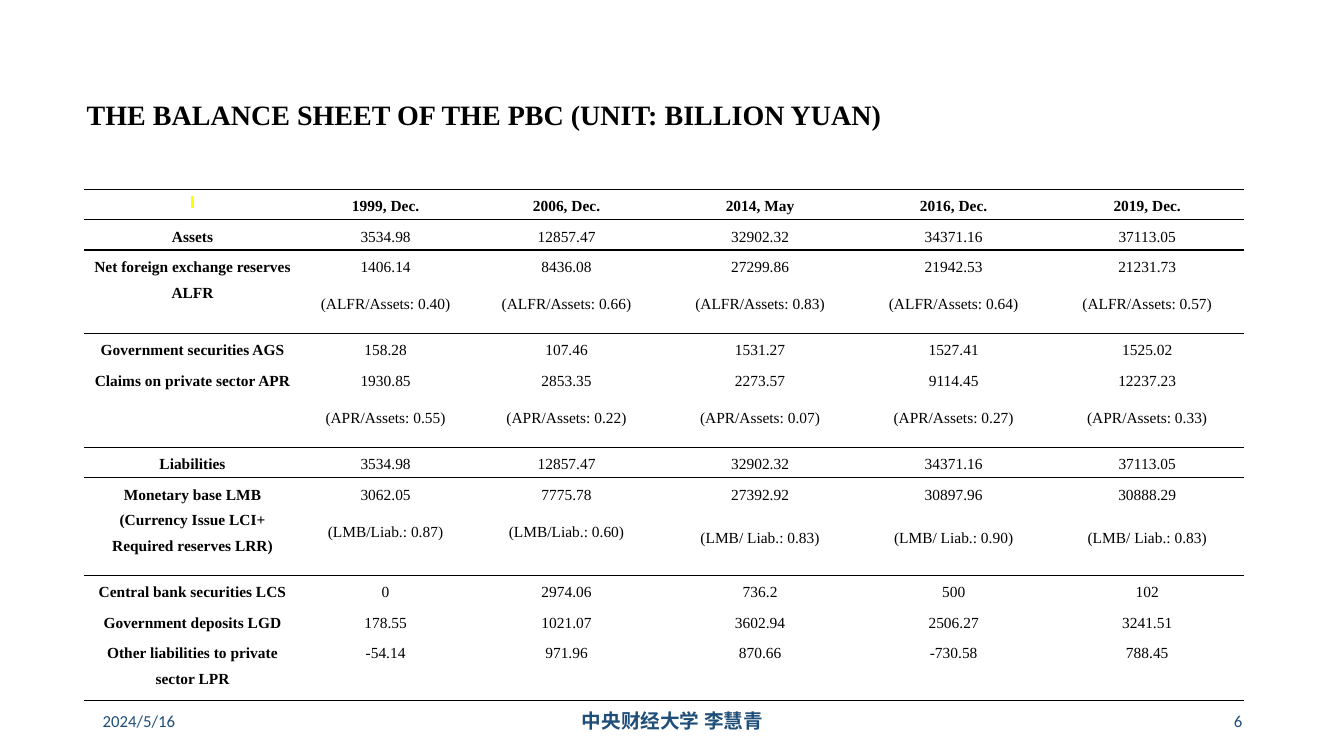
"""Build a slide with the balance sheet of the PBC as a ruled table."""
from dataclasses import dataclass

from lxml import etree
from pptx import Presentation
from pptx import util as u
from pptx.dml.color import RGBColor
from pptx.enum import text
from pptx.oxml import ns


@dataclass(frozen=True)
class Theme:
    serif: str = "Times New Roman"
    sans: str = "Calibri"
    ink: str = "000000"
    navy: str = "1F4E79"
    marker: str = "FFFF00"
    title_size: float = 20
    table_size: float = 11
    marker_size: float = 8
    footer_size: float = 12
    school_size: float = 14


@dataclass(frozen=True)
class SheetRow:
    label: str
    height: float
    values: tuple[str, ...]
    shares: tuple[str, ...] = ()


@dataclass(frozen=True)
class Footer:
    words: str
    left: float
    width: float
    align: text.PP_ALIGN
    size: float
    bold: bool = False


THEME = Theme()
TOTALS = ("3534.98", "12857.47", "32902.32", "34371.16", "37113.05")
COLUMN_WIDTHS = (2.16, 1.67, 1.92, 1.92, 1.92, 1.92)
RULES = {0: 1.5, 1: 1, 2: 1, 5: 1, 6: 1, 10: 1.5}
NO_GRID_STYLE = "{2D5ABB26-0587-4C30-8999-92F81FD0307C}"


def ratios(name: str, *shares: str) -> tuple[str, ...]:
    return tuple(f"({name}: {share})" for share in shares)


ROWS = (
    SheetRow("", 0.3, ("1999, Dec.", "2006, Dec.", "2014, May", "2016, Dec.", "2019, Dec.")),
    SheetRow("Assets", 0.3, TOTALS),
    SheetRow("Net foreign exchange reserves ALFR", 0.83,
             ("1406.14", "8436.08", "27299.86", "21942.53", "21231.73"),
             ratios("ALFR/Assets", "0.40", "0.66", "0.83", "0.64", "0.57")),
    SheetRow("Government securities AGS", 0.3,
             ("158.28", "107.46", "1531.27", "1527.41", "1525.02")),
    SheetRow("Claims on private sector APR", 0.83,
             ("1930.85", "2853.35", "2273.57", "9114.45", "12237.23"),
             ratios("APR/Assets", "0.55", "0.22", "0.07", "0.27", "0.33")),
    SheetRow("Liabilities", 0.3, TOTALS),
    SheetRow("Monetary base LMB (Currency Issue LCI+ Required reserves LRR)", 0.97,
             ("3062.05", "7775.78", "27392.92", "30897.96", "30888.29"),
             ratios("LMB/Liab.", "0.87", "0.60") + ratios("LMB/ Liab.", "0.83", "0.90", "0.83")),
    SheetRow("Central bank securities LCS", 0.3, ("0", "2974.06", "736.2", "500", "102")),
    SheetRow("Government deposits LGD", 0.3,
             ("178.55", "1021.07", "3602.94", "2506.27", "3241.51")),
    SheetRow("Other liabilities to private sector LPR", 0.64,
             ("-54.14", "971.96", "870.66", "-730.58", "788.45")),
)

FOOTERS = (
    Footer("2024/5/16", 0.92, 3, text.PP_ALIGN.LEFT, THEME.footer_size),
    Footer("中央财经大学 李慧青", 4.42, 4.5, text.PP_ALIGN.CENTER, THEME.school_size, True),
    Footer("6", 9.42, 3, text.PP_ALIGN.RIGHT, THEME.footer_size),
)


def style(para, face: str, size: float, color: str, bold: bool, align: text.PP_ALIGN) -> None:
    para.alignment = align
    para.font.name = face
    para.font.size = u.Pt(size)
    para.font.bold = bold
    para.font.color.rgb = RGBColor.from_string(color)


def add_element(parent, tag: str, **attributes: str):
    return etree.SubElement(parent, ns.qn(tag), attributes)


def rule_cell(cell, row_index: int) -> None:
    properties = cell._tc.get_or_add_tcPr()
    for tag, edge in (("a:lnT", row_index), ("a:lnB", row_index + 1)):
        if edge in RULES:
            line = add_element(properties, tag, w=str(u.Pt(RULES[edge])))
            fill = add_element(line, "a:solidFill")
            add_element(fill, "a:srgbClr", val=THEME.ink)
    cell.fill.background()


def fill_cell(cell, lines: list[str], bold: bool) -> None:
    cell.margin_left = cell.margin_right = u.Inches(0.07)
    cell.margin_top = cell.margin_bottom = 0
    frame = cell.text_frame
    for index, line in enumerate(lines):
        para = frame.add_paragraph() if index else frame.paragraphs[0]
        para.line_spacing = 1.5
        para.space_after = u.Pt(8)
        if "/ " in line:
            para.space_before = u.Pt(4.3)
        size = THEME.table_size if line else THEME.marker_size
        style(para, THEME.serif, size, THEME.ink, bold, text.PP_ALIGN.CENTER)
        span = para.add_run()
        span.text = line or " "
        if not line:
            highlight = add_element(span._r.get_or_add_rPr(), "a:highlight")
            add_element(highlight, "a:srgbClr", val=THEME.marker)


def add_balance_sheet(page) -> None:
    frame = page.shapes.add_table(len(ROWS), len(COLUMN_WIDTHS), u.Inches(0.83), u.Inches(1.88),
                                  u.Inches(11.5), u.Inches(5.08))
    table = frame.table
    table.first_row = table.horz_banding = False
    table._tbl.tblPr.find(ns.qn("a:tableStyleId")).text = NO_GRID_STYLE
    for column, width in zip(table.columns, COLUMN_WIDTHS):
        column.width = u.Inches(width)
    for row_index, entry in enumerate(ROWS):
        table.rows[row_index].height = u.Inches(entry.height)
        for column_index in range(len(COLUMN_WIDTHS)):
            cell = table.cell(row_index, column_index)
            if column_index:
                lines = [entry.values[column_index - 1], *entry.shares[column_index - 1:column_index]]
            else:
                lines = [entry.label]
            fill_cell(cell, lines, bold=row_index == 0 or column_index == 0)
            rule_cell(cell, row_index)


def add_title(page) -> None:
    title = page.shapes.title
    title.left, title.top = u.Inches(0.76), u.Inches(0.43)
    title.width, title.height = u.Inches(11.5), u.Inches(1.45)
    frame = title.text_frame
    frame.text = "THE BALANCE SHEET OF THE PBC (UNIT: BILLION YUAN)"
    frame.auto_size = text.MSO_AUTO_SIZE.NONE
    frame.vertical_anchor = text.MSO_ANCHOR.MIDDLE
    para = frame.paragraphs[0]
    para.line_spacing = 0.9
    style(para, THEME.serif, THEME.title_size, THEME.ink, True, text.PP_ALIGN.LEFT)


def add_footer(page, footer: Footer) -> None:
    box = page.shapes.add_textbox(u.Inches(footer.left), u.Inches(6.95),
                                  u.Inches(footer.width), u.Inches(0.4))
    frame = box.text_frame
    frame.word_wrap = True
    frame.vertical_anchor = text.MSO_ANCHOR.MIDDLE
    frame.text = footer.words
    style(frame.paragraphs[0], THEME.sans, footer.size, THEME.navy, footer.bold, footer.align)


def main() -> None:
    deck = Presentation()
    deck.slide_width, deck.slide_height = u.Inches(13.33), u.Inches(7.5)
    page = deck.slides.add_slide(deck.slide_layouts[5])
    add_title(page)
    for footer in FOOTERS:
        add_footer(page, footer)
    add_balance_sheet(page)
    deck.save("out.pptx")


if __name__ == "__main__":
    main()
